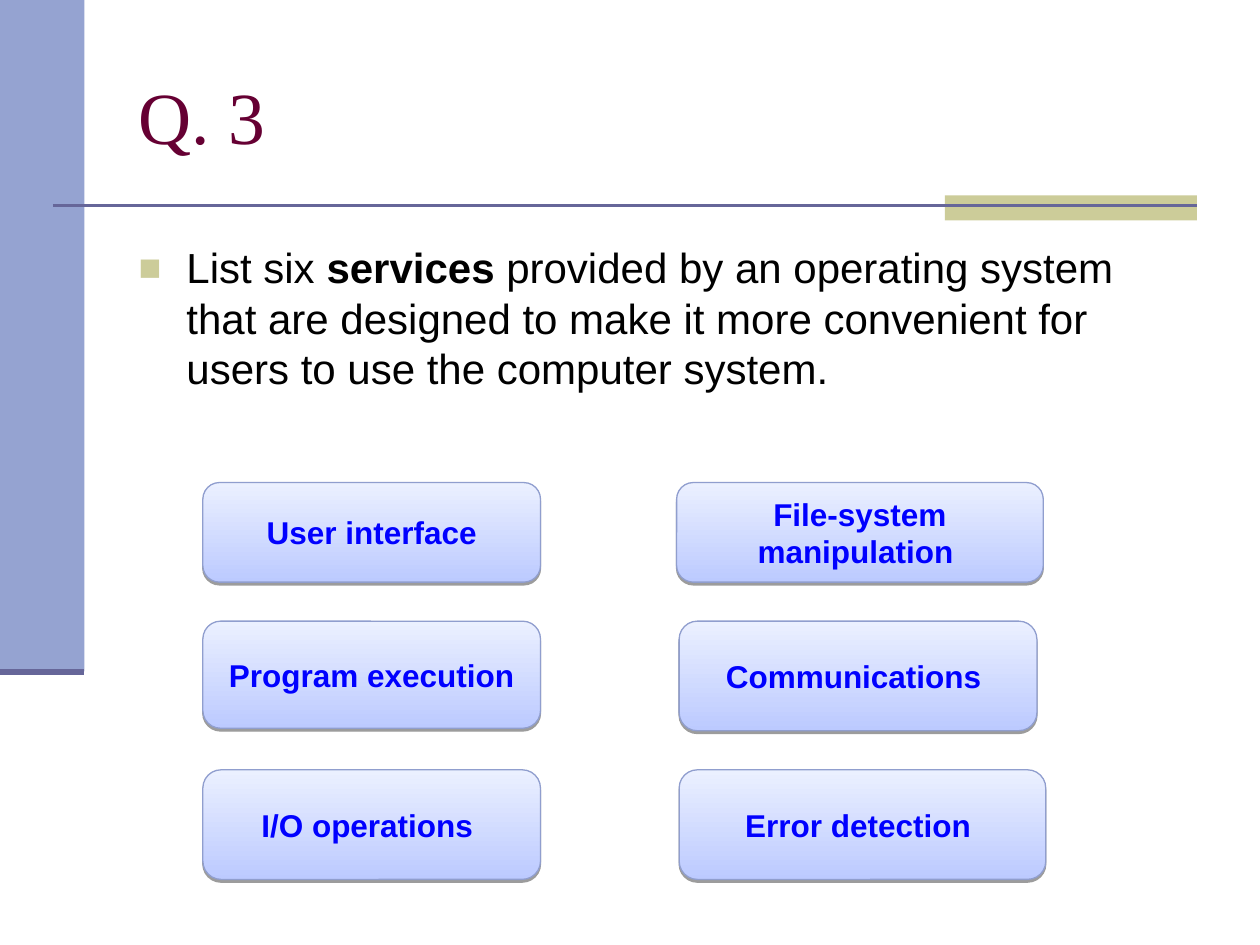
from lxml.etree import SubElement
from pptx import Presentation
from pptx.dml.color import RGBColor
from pptx.enum.shapes import MSO_CONNECTOR, MSO_SHAPE
from pptx.enum.text import MSO_ANCHOR, MSO_AUTO_SIZE, PP_ALIGN
from pptx.oxml.ns import qn
from pptx.util import Inches, Pt

SERVICES = [
    ("User interface", 1.61, 3.83, 2.68, 0.79),
    ("Program execution", 1.61, 4.93, 2.68, 0.85),
    ("I/O operations ", 1.61, 6.11, 2.68, 0.87),
    ("File-system manipulation ", 5.37, 3.83, 2.91, 0.79),
    ("Communications ", 5.39, 4.93, 2.84, 0.87),
    ("Error detection ", 5.39, 6.11, 2.91, 0.87),
]


def color(value):
    return RGBColor.from_string(value)


def set_font(font, name, size, value):
    font.name = name
    font.size = Pt(size)
    font.color.rgb = color(value)


def place(shape, left, top, width, height):
    shape.left, shape.top = Inches(left), Inches(top)
    shape.width, shape.height = Inches(width), Inches(height)


def add_band(slide, left, top, width, height, fill):
    band = slide.shapes.add_shape(
        MSO_SHAPE.RECTANGLE, Inches(left), Inches(top), Inches(width), Inches(height))
    band.shadow.inherit = False
    band.fill.solid()
    band.fill.fore_color.rgb = color(fill)
    band.line.fill.background()


def add_rule(slide, left, right, top, width):
    rule = slide.shapes.add_connector(
        MSO_CONNECTOR.STRAIGHT, Inches(left), Inches(top), Inches(right), Inches(top))
    rule.line.color.rgb = color("666699")
    rule.line.width = Pt(width)
    SubElement(rule._element.spPr, qn("a:effectLst"))


def add_bullet(paragraph):
    """Give the paragraph a hanging square bullet."""
    properties = paragraph._p.get_or_add_pPr()
    properties.set("marL", str(Inches(0.38)))
    properties.set("indent", str(-Inches(0.38)))
    bullet_color = SubElement(properties, qn("a:buClr"))
    SubElement(bullet_color, qn("a:srgbClr"), val="CCCC99")
    SubElement(properties, qn("a:buSzPct"), val="90000")
    SubElement(properties, qn("a:buFont"), typeface="Arial")
    SubElement(properties, qn("a:buChar"), char="■")


def add_drop_shadow(shape):
    shape.shadow.inherit = False
    effects = shape._element.spPr.find(qn("a:effectLst"))
    shadow = SubElement(effects, qn("a:outerShdw"), blurRad="0", dist=str(Pt(1.6)),
                        dir="5400000", rotWithShape="0")
    shadow_color = SubElement(shadow, qn("a:srgbClr"), val="000000")
    SubElement(shadow_color, qn("a:alpha"), val="38000")


def add_service(slide, text, left, top, width, height):
    box = slide.shapes.add_shape(
        MSO_SHAPE.ROUNDED_RECTANGLE, Inches(left), Inches(top), Inches(width), Inches(height))
    box.fill.gradient()
    box.fill.gradient_angle = 90
    for stop, value in zip(box.fill.gradient_stops, ("BCCAFF", "EBF0FF")):
        stop.color.rgb = color(value)
    box.line.color.rgb = color("909ECE")
    box.line.width = Pt(0.75)
    add_drop_shadow(box)
    frame = box.text_frame
    frame.word_wrap = True
    frame.vertical_anchor = MSO_ANCHOR.MIDDLE
    frame.text = text
    paragraph = frame.paragraphs[0]
    paragraph.alignment = PP_ALIGN.CENTER
    set_font(paragraph.font, "Arial", 18, "0000FF")
    paragraph.font.bold = True


def fill_title(title):
    place(title, 1, 0.29, 8.5, 1.25)
    title.text_frame.text = "Q. 3"
    title.text_frame.vertical_anchor = MSO_ANCHOR.MIDDLE
    paragraph = title.text_frame.paragraphs[0]
    paragraph.alignment = PP_ALIGN.LEFT
    set_font(paragraph.font, "Times New Roman", 42, "660033")


def fill_question(body):
    place(body, 1, 1.87, 8.5, 5.03)
    body.text_frame.auto_size = MSO_AUTO_SIZE.NONE
    paragraph = body.text_frame.paragraphs[0]
    paragraph.space_before = Pt(0)
    add_bullet(paragraph)
    set_font(paragraph.font, "Arial", 24, "000000")
    paragraph.add_run().text = "List six "
    keyword = paragraph.add_run()
    keyword.text = "services"
    keyword.font.bold = True
    paragraph.add_run().text = (
        " provided by an operating system that are designed to make it more "
        "convenient for users to use the computer system.")


def main():
    presentation = Presentation()
    presentation.slide_width, presentation.slide_height = Inches(10), Inches(7.5)
    slide = presentation.slides.add_slide(presentation.slide_layouts[1])
    add_band(slide, 0, 0, 0.67, 5.33, "95A3D1")
    add_band(slide, 7.5, 1.55, 2, 0.2, "CCCC99")
    add_rule(slide, 0.42, 9.5, 1.63, 1.5)
    add_rule(slide, 0, 0.67, 5.33, 3.5)
    fill_title(slide.shapes.title)
    fill_question(slide.placeholders[1])
    for service in SERVICES:
        add_service(slide, *service)
    presentation.save("out.pptx")


if __name__ == "__main__":
    main()
